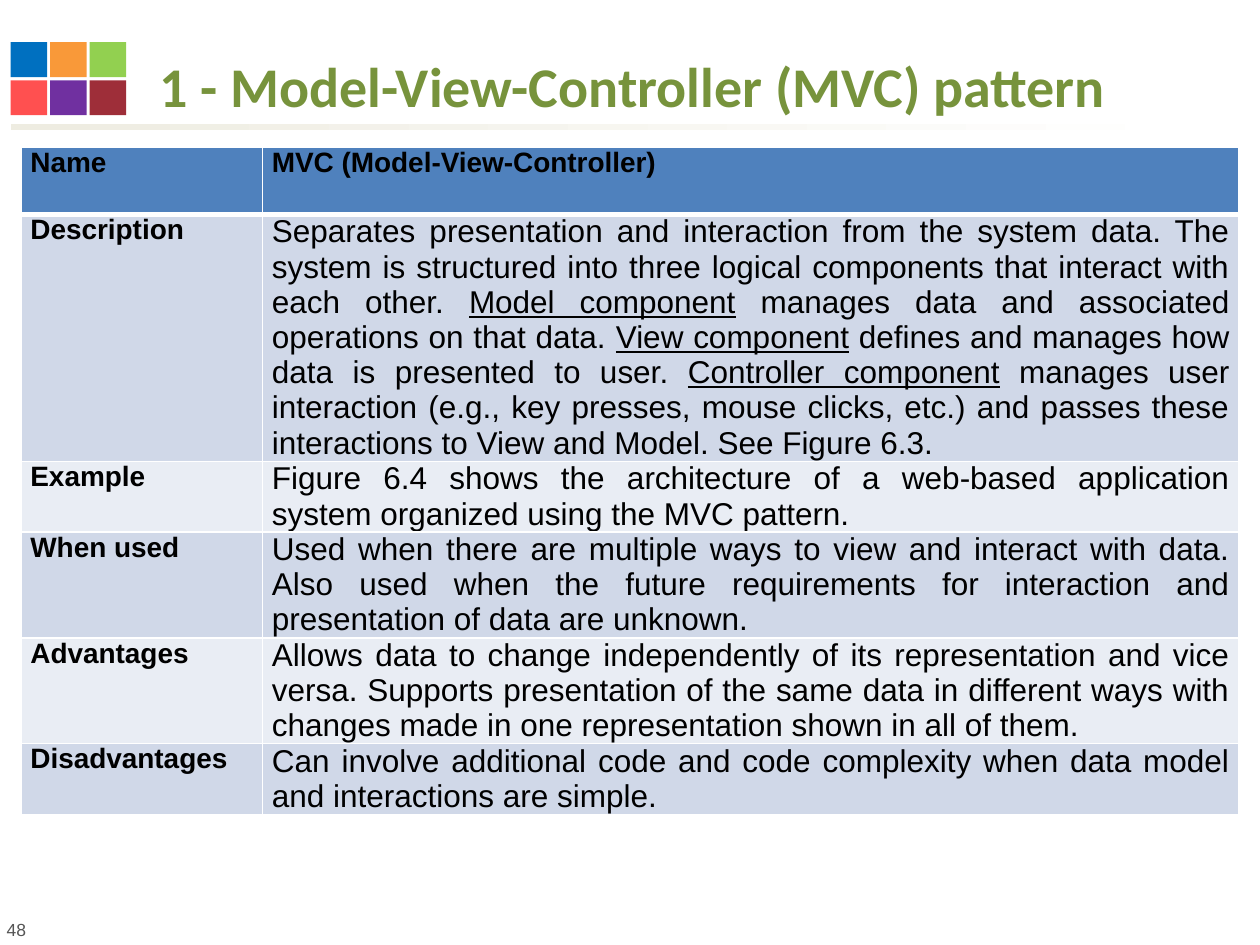
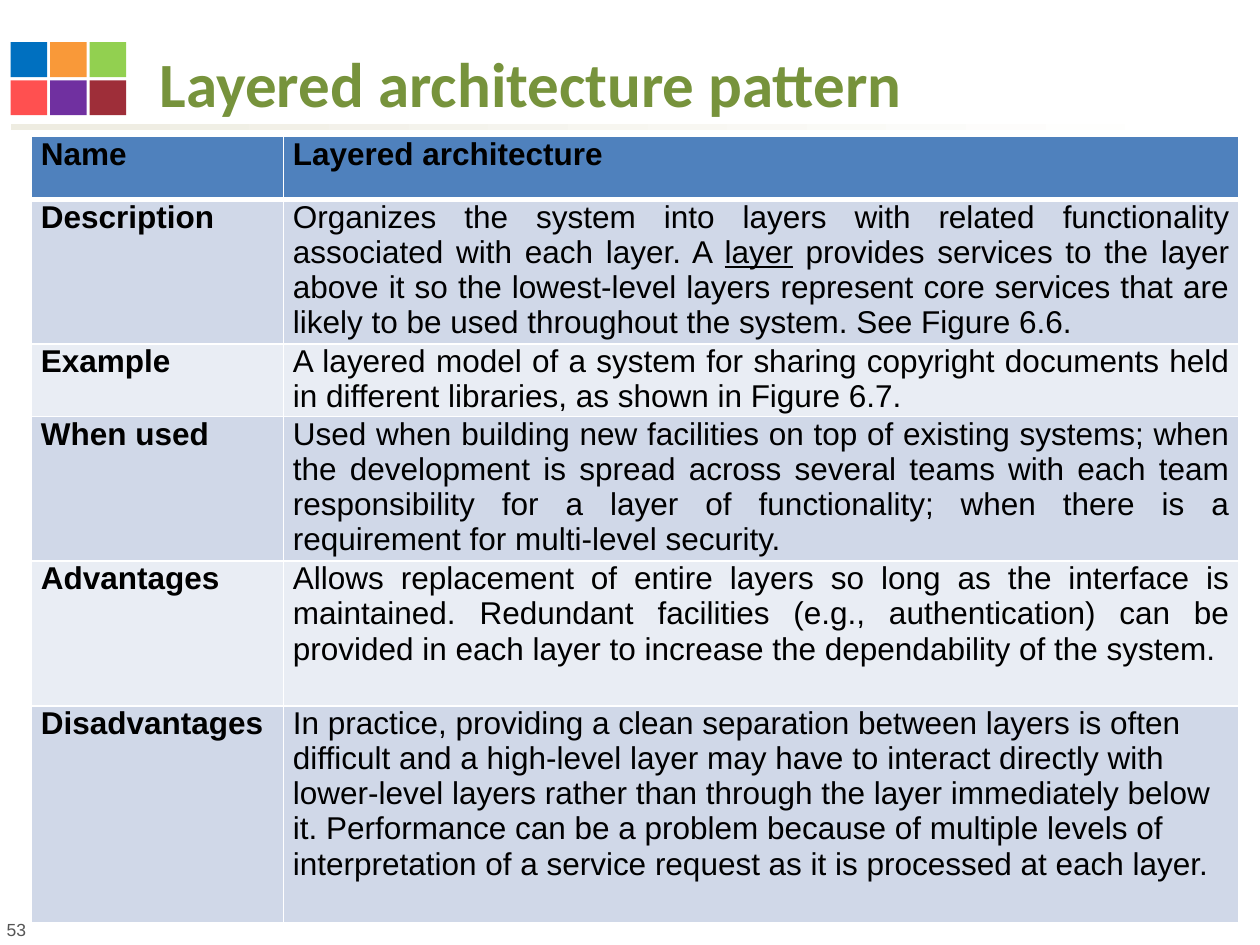
from dataclasses import dataclass

from lxml import etree
from pptx import Presentation
from pptx.dml.color import RGBColor
from pptx.enum import shapes, text
from pptx.oxml import ns
from pptx.util import Pt

# Content: underscores enclose underlined words
PATTERNS = [
    {
        "number": "48",
        "title": [("1 - Model-View-Controller (MVC) pattern", 32), (" ", 36)],
        "left": 12, "top": 84, "columns": (138, 558),
        "label_size": 16, "header_height": 38.5, "line_height": 20.17,
        "line_counts": (7, 2, 3, 3, 2),
        "left_aligned": (),
        "rows": [
            ("Name", "MVC (Model-View-Controller)"),
            ("Description",
             "Separates presentation and interaction from the system data. The system is "
             "structured into three logical components that interact with each other. "
             "_Model component_ manages data and associated operations on that data. "
             "_View component_ defines and manages how data is presented to user. "
             "_Controller component_ manages user interaction (e.g., key presses, mouse "
             "clicks, etc.) and passes these interactions to View and Model. See Figure 6.3."),
            ("Example",
             "Figure 6.4 shows the architecture of a web-based application system "
             "organized using the MVC pattern."),
            ("When used",
             "Used when there are multiple ways to view and interact with data. Also used "
             "when the future requirements for interaction and presentation of data are "
             "unknown."),
            ("Advantages",
             "Allows data to change independently of its representation and vice versa. "
             "Supports presentation of the same data in different ways with changes made "
             "in one representation shown in all of them."),
            ("Disadvantages",
             "Can involve additional code and code complexity when data model and "
             "interactions are simple."),
        ],
    },
    {
        "number": "53",
        "title": [("Layered architecture pattern", 36)],
        "left": 18, "top": 78, "columns": (144, 546),
        "label_size": 18, "header_height": 36, "line_height": 20.67,
        "line_counts": (4, 2, 4, 4, 6),
        "left_aligned": ("Disadvantages",),
        "rows": [
            ("Name", "Layered architecture"),
            ("Description",
             "Organizes the system into layers with related functionality associated with "
             "each layer. A _layer_ provides services to the layer above it so the "
             "lowest-level layers represent core services that are likely to be used "
             "throughout the system. See Figure 6.6."),
            ("Example",
             "A layered model of a system for sharing copyright documents held in "
             "different libraries, as shown in Figure 6.7."),
            ("When used",
             "Used when building new facilities on top of existing systems; when the "
             "development is spread across several teams with each team responsibility "
             "for a layer of functionality; when there is a requirement for multi-level "
             "security."),
            ("Advantages",
             "Allows replacement of entire layers so long as the interface is maintained. "
             "Redundant facilities (e.g., authentication) can be provided in each layer "
             "to increase the dependability of the system."),
            ("Disadvantages",
             "In practice, providing a clean separation between layers is often difficult "
             "and a high-level layer may have to interact directly with lower-level "
             "layers rather than through the layer immediately below it. Performance can "
             "be a problem because of multiple levels of interpretation of a service "
             "request as it is processed at each layer."),
        ],
    },
]


# Theme
@dataclass(frozen=True)
class Theme:
    title_font: str = "Calibri"
    body_font: str = "Arial"
    title: str = "77933C"
    ink: str = "000000"
    number: str = "555555"
    header: str = "4F81BD"
    bands: tuple = ("D0D8E8", "E9EDF4")
    border: str = "FFFFFF"
    rule: tuple = ("EEECE1", "FFFFFF")
    tiles: tuple = (("0070C0", "F99939", "92D050"), ("FF5050", "7030A0", "9E2E39"))
    body_size: int = 18
    body_leading: float = 20.15
    number_size: int = 10


THEME = Theme()


def rgb(color):
    return RGBColor.from_string(color)


def style(font, name, size, color, bold=False):
    font.name, font.size, font.bold = name, Pt(size), bold
    font.color.rgb = rgb(color)


def add_block(slide, left, top, width, height):
    block = slide.shapes.add_shape(shapes.MSO_SHAPE.RECTANGLE,
                                   Pt(left), Pt(top), Pt(width), Pt(height))
    block.shadow.inherit = False
    block.line.fill.background()
    return block


# Parts shared by all slides
def add_frame(slide, number):
    rule = add_block(slide, 6, 70.8, 682.5, 3.4)
    rule.fill.gradient()
    rule.fill.gradient_angle = 0
    for stop, color in zip(rule.fill.gradient_stops, THEME.rule):
        stop.color.rgb = rgb(color)

    for row, colors in enumerate(THEME.tiles):
        for column, color in enumerate(colors):
            tile = add_block(slide, 6 + 22.6 * column, 24.1 + 21.8 * row, 20.9, 20)
            tile.fill.solid()
            tile.fill.fore_color.rgb = rgb(color)

    page = slide.shapes.add_textbox(Pt(-3.3), Pt(521.5), Pt(417.6), Pt(19.4)).text_frame
    page.word_wrap = True
    page.text = number
    style(page.paragraphs[0].runs[0].font, THEME.body_font, THEME.number_size, THEME.number)


def set_title(slide, pieces):
    title = slide.shapes.title
    title.left, title.top, title.width, title.height = Pt(84), Pt(23), Pt(624), Pt(49)
    frame = title.text_frame
    frame.auto_size = text.MSO_AUTO_SIZE.NONE
    frame.vertical_anchor = text.MSO_ANCHOR.BOTTOM
    paragraph = frame.paragraphs[0]
    paragraph.alignment = text.PP_ALIGN.LEFT
    for words, size in pieces:
        run = paragraph.add_run()
        run.text = words
        style(run.font, THEME.title_font, size, THEME.title, bold=True)


# Pattern table
def set_borders(cell, row):
    widths = {"lnL": 1, "lnR": 1, "lnT": 3 if row == 1 else 1, "lnB": 3 if row == 0 else 1}
    properties = cell._tc.get_or_add_tcPr()
    for side, width in widths.items():
        line = etree.SubElement(properties, ns.qn(f"a:{side}"), w=str(Pt(width)))
        fill = etree.SubElement(line, ns.qn("a:solidFill"))
        etree.SubElement(fill, ns.qn("a:srgbClr"), val=THEME.border)


def fill_cell(cell, words, row, size, bold, alignment):
    set_borders(cell, row)
    cell.fill.solid()
    cell.fill.fore_color.rgb = rgb(THEME.bands[(row - 1) % 2] if row else THEME.header)
    cell.margin_left = cell.margin_right = Pt(5.4)
    cell.margin_top = cell.margin_bottom = 0
    paragraph = cell.text_frame.paragraphs[0]
    paragraph.alignment = alignment
    if not bold:
        paragraph.line_spacing = Pt(THEME.body_leading)
    for index, piece in enumerate(words.split("_")):
        run = paragraph.add_run()
        run.text = piece
        style(run.font, THEME.body_font, size, THEME.ink, bold)
        if index % 2:
            run.font.underline = True


def add_pattern_table(slide, pattern):
    rows, columns = pattern["rows"], pattern["columns"]
    heights = [pattern["header_height"]]
    heights += [count * pattern["line_height"] for count in pattern["line_counts"]]
    table = slide.shapes.add_table(len(rows), len(columns), Pt(pattern["left"]),
                                   Pt(pattern["top"]), Pt(sum(columns)),
                                   Pt(sum(heights))).table
    for column, width in zip(table.columns, columns):
        column.width = Pt(width)
    for index, (label, detail) in enumerate(rows):
        table.rows[index].height = Pt(heights[index])
        is_header = index == 0
        detail_size = pattern["label_size"] if is_header else THEME.body_size
        alignment = (text.PP_ALIGN.LEFT if label in pattern["left_aligned"]
                     else text.PP_ALIGN.JUSTIFY)
        fill_cell(table.cell(index, 0), label, index, pattern["label_size"], True,
                  text.PP_ALIGN.JUSTIFY)
        fill_cell(table.cell(index, 1), detail, index, detail_size, is_header, alignment)


def main():
    deck = Presentation()
    deck.slide_width, deck.slide_height = Pt(720), Pt(540)
    title_only = deck.slide_layouts[5]
    for pattern in PATTERNS:
        slide = deck.slides.add_slide(title_only)
        add_frame(slide, pattern["number"])
        set_title(slide, pattern["title"])
        add_pattern_table(slide, pattern)
    deck.save("out.pptx")


if __name__ == "__main__":
    main()
